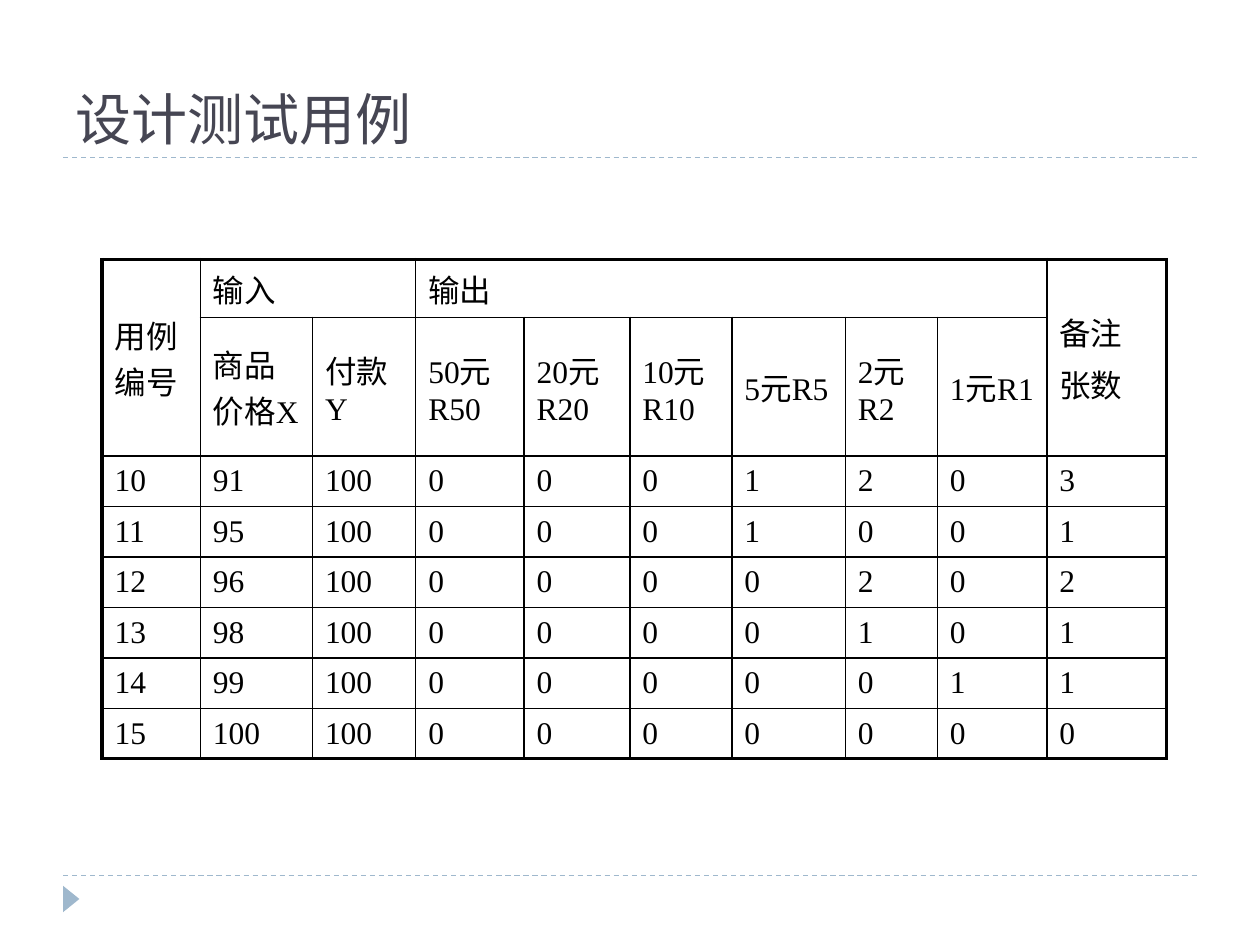
from lxml import etree
from pptx import Presentation
from pptx.dml.color import RGBColor
from pptx.enum.dml import MSO_LINE
from pptx.enum.shapes import MSO_CONNECTOR, MSO_SHAPE
from pptx.enum.text import MSO_ANCHOR
from pptx.oxml.ns import qn
from pptx.util import Inches, Pt

DASH = MSO_LINE.DASH
STRAIGHT = MSO_CONNECTOR.STRAIGHT
TRIANGLE = MSO_SHAPE.ISOSCELES_TRIANGLE
MIDDLE, BOTTOM = MSO_ANCHOR.MIDDLE, MSO_ANCHOR.BOTTOM

BLACK = RGBColor(0x00, 0x00, 0x00)
INK = RGBColor(0x46, 0x46, 0x53)
BLUE = RGBColor(0x9F, 0xB8, 0xCD)

# Content
TITLE = "设计测试用例"
ROWS = [
    ["用例编号", "输入", "", "输出", "", "", "", "", "", "备注\n张数"],
    ["", "商品价格X", "付款Y", "50元R50", "20元R20", "10元R10",
     "5元R5", "2元R2", "1元R1", ""],
    [10, 91, 100, 0, 0, 0, 1, 2, 0, 3],
    [11, 95, 100, 0, 0, 0, 1, 0, 0, 1],
    [12, 96, 100, 0, 0, 0, 0, 2, 0, 2],
    [13, 98, 100, 0, 0, 0, 0, 1, 0, 1],
    [14, 99, 100, 0, 0, 0, 0, 0, 1, 1],
    [15, 100, 100, 0, 0, 0, 0, 0, 0, 0],
]
WIDTHS = [0.78, 0.89, 0.82, 0.86, 0.84, 0.81, 0.9, 0.73, 0.87, 0.95]
HEIGHTS = [0.46, 1.1] + [0.38] * 6
# First and last cell of each merged block, as (row, column)
SPANS = [((0, 0), (1, 0)), ((0, 1), (0, 2)), ((0, 3), (0, 8)), ((0, 9), (1, 9))]
THIN, THICK = 1, 2.25


def style(para, size, font, color):
    for run in para.runs:
        run.font.size = Pt(size)
        run.font.name = font
        run.font.color.rgb = color


def add_rule(slide, y):
    rule = slide.shapes.add_connector(
        STRAIGHT, Inches(0.5), Inches(y), Inches(9.5), Inches(y))
    rule.line.color.rgb = BLUE
    rule.line.width = Pt(0.75)
    rule.line.dash_style = DASH
    etree.SubElement(rule._element.spPr, qn("a:effectLst"))


def set_edges(cell, widths):
    props = cell._tc.get_or_add_tcPr()
    for i, (side, width) in enumerate(widths.items()):
        edge = etree.Element(qn(f"a:ln{side}"), w=str(Pt(width)))
        fill = etree.SubElement(edge, qn("a:solidFill"))
        etree.SubElement(fill, qn("a:srgbClr"), val=str(BLACK))
        props.insert(i, edge)


def add_cases(slide):
    last_row, last_col = len(ROWS) - 1, len(WIDTHS) - 1
    frame = slide.shapes.add_table(
        len(ROWS), len(WIDTHS), Inches(0.81), Inches(2.06),
        Inches(sum(WIDTHS)), Inches(sum(HEIGHTS)))
    table = frame.table
    table.first_row = table.horz_banding = False
    for col, width in zip(table.columns, WIDTHS):
        col.width = Inches(width)
    for row, height in zip(table.rows, HEIGHTS):
        row.height = Inches(height)
    for first, last in SPANS:
        table.cell(*first).merge(table.cell(*last))

    for r, row in enumerate(ROWS):
        for c, value in enumerate(row):
            cell = table.cell(r, c)
            cell.fill.background()
            cell.vertical_anchor = MIDDLE
            set_edges(cell, {
                "L": THICK if c == 0 else THIN,
                "R": THICK if c == last_col else THIN,
                "T": THICK if r == 0 else THIN,
                "B": THICK if r == last_row else THIN,
            })
            if cell.is_spanned:
                continue
            cell.text_frame.text = str(value)
            for i, para in enumerate(cell.text_frame.paragraphs):
                para.space_before = Pt(3.6 if i else 0)
                style(para, 18, "Times New Roman", BLACK)


def main():
    deck = Presentation()
    deck.slide_width, deck.slide_height = Inches(10), Inches(7.5)
    slide = deck.slides.add_slide(deck.slide_layouts[6])

    # Dashed rules and corner marker
    for y in (6.95, 1.25):
        add_rule(slide, y)
    mark = slide.shapes.add_shape(
        TRIANGLE, Inches(0.46), Inches(7.07), Inches(0.21), Inches(0.13))
    mark.rotation = 90
    mark.shadow.inherit = False
    mark.fill.solid()
    mark.fill.fore_color.rgb = BLUE
    mark.line.fill.background()

    # Title
    box = slide.shapes.add_textbox(
        Inches(0.5), Inches(0.17), Inches(9), Inches(1.08))
    text = box.text_frame
    text.word_wrap = True
    text.vertical_anchor = BOTTOM
    text.text = TITLE
    style(text.paragraphs[0], 32, "TeX Gyre Bonum", INK)

    # Test cases
    add_cases(slide)
    deck.save("out.pptx")


if __name__ == "__main__":
    main()
